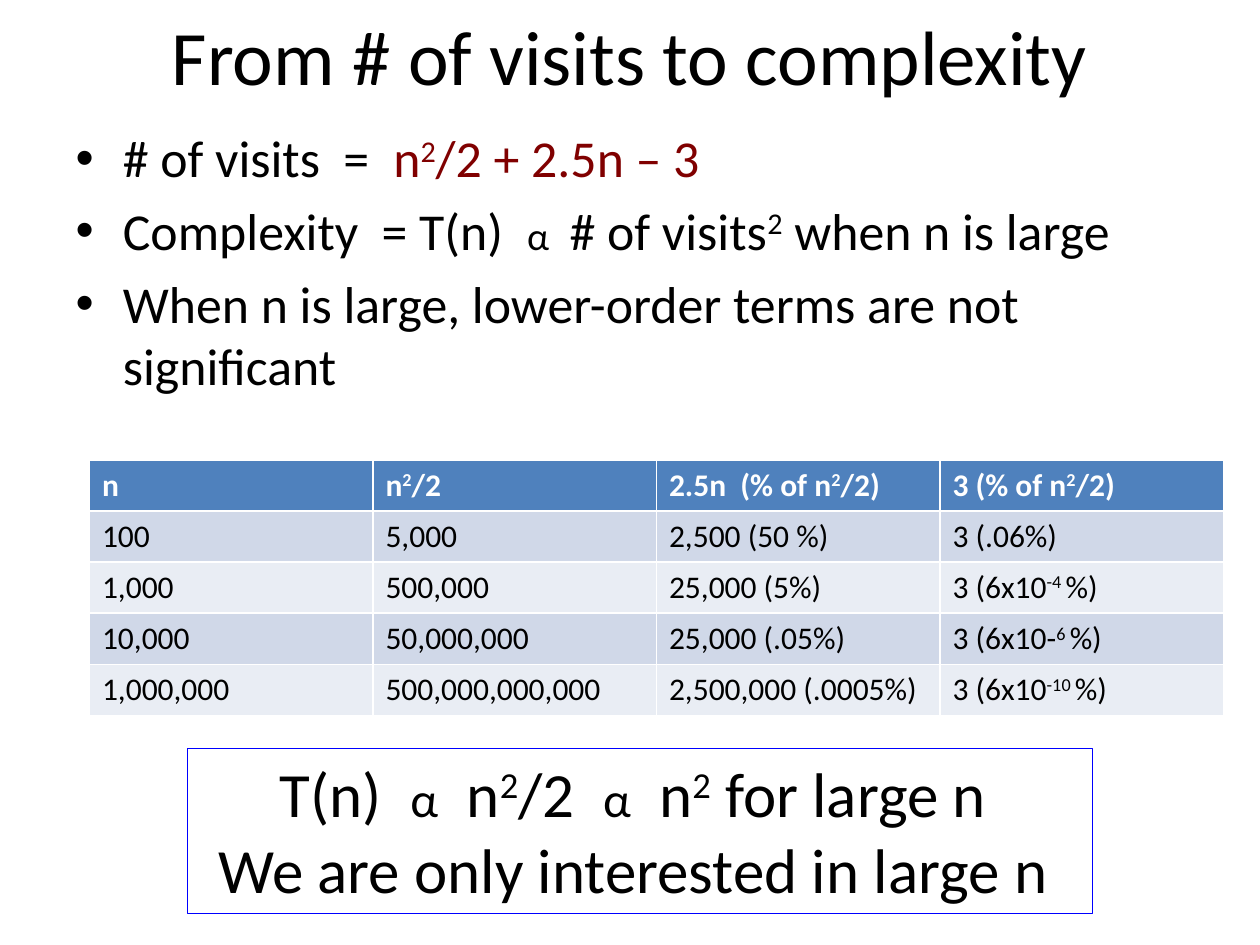
"""Build the slide that goes from number of visits to complexity."""
from pptx import Presentation
from pptx.dml.color import RGBColor
from pptx.enum.shapes import MSO_SHAPE
from pptx.enum.text import MSO_ANCHOR, MSO_AUTO_SIZE, PP_ALIGN
from pptx.util import Pt

PX = 9144
BLACK, WHITE, MAROON = "000000", "FFFFFF", "800000"
HEADER, BANDS = "4F81BD", ["D0D8E8", "E9EDF4"]


def color(value):
    return RGBColor.from_string(value)


def write(para, pieces, size, ink=BLACK, bold=False):
    for text, changes in pieces:
        style = {"name": "Calibri", "size": Pt(size), "bold": bold, **changes}
        shade = style.pop("ink", ink)
        for index, part in enumerate(text.split("^")):
            if not part:
                continue
            span = para.add_run()
            span.text = part
            for name, value in style.items():
                setattr(span.font, name, value)
            span.font.color.rgb = color(shade)
            if index % 2:
                span.font._element.set("baseline", "30000")


deck = Presentation()
deck.slide_width, deck.slide_height = 1000 * PX, 750 * PX
page = deck.slides.add_slide(deck.slide_layouts[1])

title, body = page.placeholders
for holder, top, height in [(title, -19, 125), (body, 95, 270)]:
    holder.left, holder.top = 50 * PX, top * PX
    holder.width, holder.height = 900 * PX, height * PX
    holder.text_frame.auto_size = MSO_AUTO_SIZE.NONE
title.text_frame.vertical_anchor = MSO_ANCHOR.MIDDLE
heading = title.text_frame.paragraphs[0]
heading.alignment = PP_ALIGN.CENTER
write(heading, [("From # of visits to complexity", {})], 44)

small = {"size": Pt(22.2)}
points = [
    [("# of visits  =  ", {}), ("n^2^/2 + 2.5n – 3", {"ink": MAROON})],
    [("Complexity  = T(n)  ", {}), ("α ", small), (" # of visits^2^ when n is large", {})],
    [("When n is large, lower-order terms are not significant", {})],
]
for index, pieces in enumerate(points):
    para = body.text_frame.add_paragraph() if index else body.text_frame.paragraphs[0]
    para.space_before = Pt(6 if index else 0)
    write(para, pieces, 29.6)

rows = [
    ["n", "n^2^/2", "2.5n  (% of n^2^/2)", "3 (% of n^2^/2)"],
    ["100", "5,000", "2,500 (50 %)", "3 (.06%)"],
    ["1,000", "500,000", "25,000 (5%)", "3 (6x10^-4 ^%)"],
    ["10,000", "50,000,000", "25,000 (.05%)", "3 (6x10-^6 ^%)"],
    ["1,000,000", "500,000,000,000", "2,500,000 (.0005%)", "3 (6x10^-10 ^%)"],
]
table = page.shapes.add_table(5, 4, 71 * PX, 365 * PX, 900 * PX, 200 * PX).table
for row_index, row in enumerate(rows):
    is_header = row_index == 0
    for column_index, text in enumerate(row):
        cell = table.cell(row_index, column_index)
        cell.fill.solid()
        cell.fill.fore_color.rgb = color(HEADER if is_header else BANDS[(row_index - 1) % 2])
        ink = WHITE if is_header else BLACK
        write(cell.text_frame.paragraphs[0], [(text, {})], 18, ink, is_header)

box = page.shapes.add_shape(MSO_SHAPE.RECTANGLE, 149 * PX, 594 * PX, 718 * PX, 131 * PX)
box.shadow.inherit = False
box.fill.background()
box.line.color.rgb = color("0000FF")
box.line.width = Pt(0.75)
frame = box.text_frame
frame.word_wrap = False
frame.auto_size = MSO_AUTO_SIZE.SHAPE_TO_FIT_TEXT
frame.vertical_anchor = MSO_ANCHOR.TOP
alpha = ("α", {"size": Pt(28)})
conclusions = [
    [("T(n)  ", {}), alpha, ("  n^2^/2  ", {}), alpha, ("  n^2^ for large n ", {})],
    [("We are only interested in large n ", {})],
]
for index, pieces in enumerate(conclusions):
    para = frame.add_paragraph() if index else frame.paragraphs[0]
    para.alignment = PP_ALIGN.CENTER
    write(para, pieces, 36)

deck.save("out.pptx")
